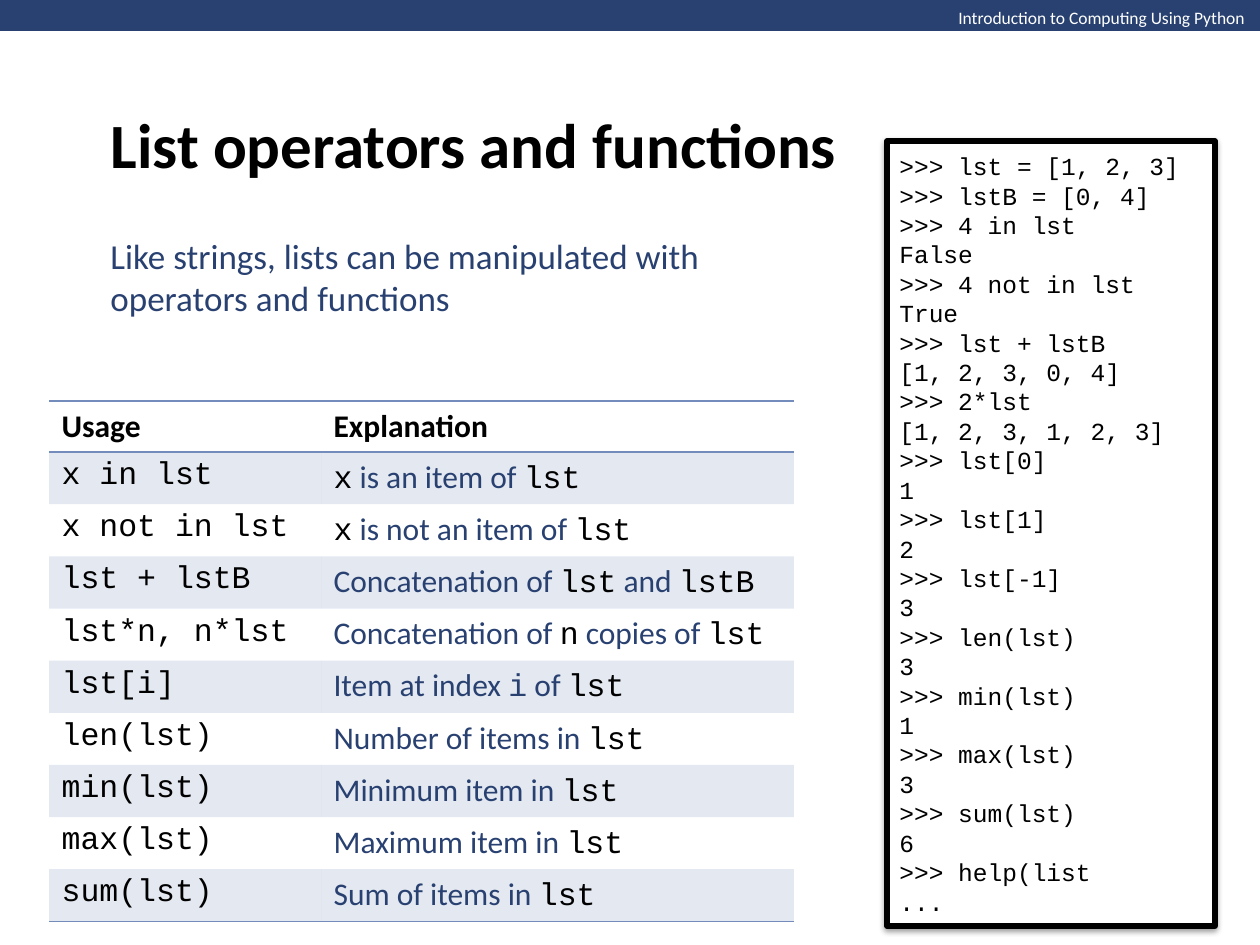
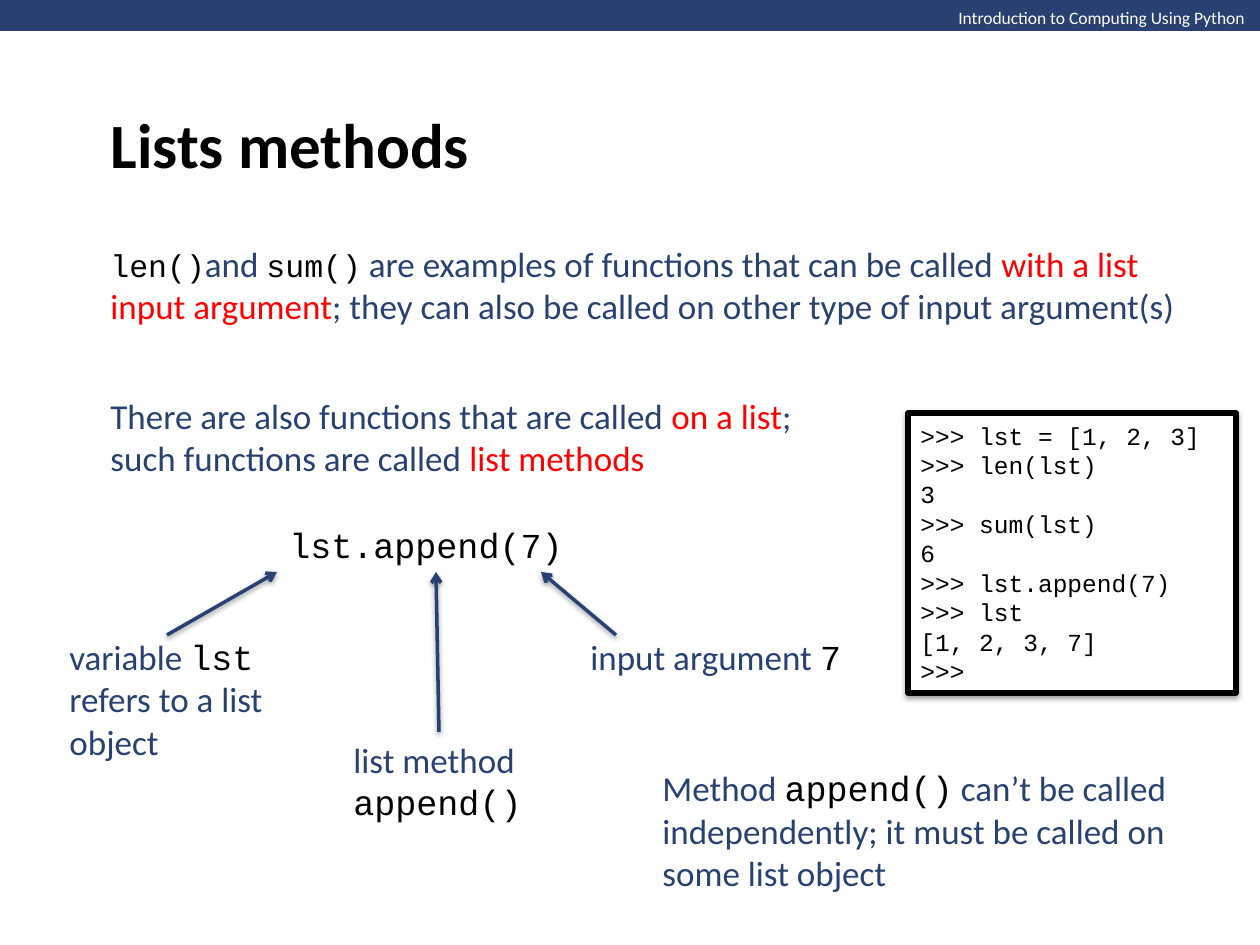
from dataclasses import dataclass

from lxml.etree import SubElement
from pptx import Presentation
from pptx.dml.color import RGBColor
from pptx.enum.shapes import MSO_CONNECTOR, MSO_SHAPE
from pptx.enum.text import MSO_ANCHOR, MSO_AUTO_SIZE, PP_ALIGN
from pptx.oxml.ns import qn
from pptx.util import Emu, Pt

PX_PER_INCH = 126
SLIDE_WIDTH, SLIDE_HEIGHT = 1260, 945
PLAIN_TABLE_STYLE = "{2D5ABB26-0587-4C30-8999-92F81FD0307C}"


@dataclass(frozen=True)
class Theme:
    navy: str = "294171"
    steel: str = "748CBC"
    red: str = "FF0000"
    black: str = "000000"
    white: str = "FFFFFF"
    text_font: str = "Calibri"
    code_font: str = "Courier New"
    title_size: int = 36
    body_size: int = 20
    table_size: int = 18
    code_size: int = 14
    label_size: int = 10
    frame_width: int = 3
    arrow_width: int = 2
    rule_width: int = 1
    stripe_opacity: int = 20
    shadow_opacity: int = 38
    shadow_blur: float = 3.1
    shadow_distance: float = 1.6


@dataclass(frozen=True)
class Run:
    """A piece of text; without a size it takes the size of its box."""
    text: str
    font: str
    color: str
    size: int = 0
    bold: bool = False


THEME = Theme()


def px(length):
    return Emu(round(length * 914400 / PX_PER_INCH))


def words(text, color=THEME.navy, size=0, bold=False):
    return Run(text, THEME.text_font, color, size, bold)


def code(text, color=THEME.black, size=0):
    return Run(text, THEME.code_font, color, size)


def red(text):
    return words(text, THEME.red)


class Deck:
    def __init__(self, theme):
        self.theme = theme
        self.presentation = Presentation()
        self.presentation.slide_width = px(SLIDE_WIDTH)
        self.presentation.slide_height = px(SLIDE_HEIGHT)
        self.slide = None

    # Shared parts: band, course label and title
    def new_slide(self, title):
        theme = self.theme
        layout = self.presentation.slide_layouts.get_by_name("Title Only")
        self.slide = self.presentation.slides.add_slide(layout)
        self.box(0, 0, SLIDE_WIDTH, 31, theme.navy)
        self.text(946, 0, 315, 34, theme.label_size,
                  [words("Introduction to Computing Using Python", theme.white)])
        heading = self.slide.shapes.title
        heading.left, heading.top, heading.width, heading.height = map(px, (98, 98, 1071, 90))
        self.fill_frame(heading.text_frame, theme.title_size,
                        [[words(title, theme.black, bold=True)]])

    # Text
    def fill_paragraph(self, paragraph, runs, size):
        paragraph.alignment = PP_ALIGN.LEFT
        for piece in runs:
            run = paragraph.add_run()
            run.text = piece.text
            run.font.name = piece.font
            run.font.size = Pt(piece.size or size)
            run.font.bold = piece.bold
            run.font.color.rgb = RGBColor.from_string(piece.color)

    def fill_frame(self, frame, size, paragraphs):
        frame.word_wrap = True
        frame.auto_size = MSO_AUTO_SIZE.NONE
        frame.vertical_anchor = MSO_ANCHOR.MIDDLE
        for index, runs in enumerate(paragraphs):
            paragraph = frame.add_paragraph() if index else frame.paragraphs[0]
            self.fill_paragraph(paragraph, runs, size)

    def text(self, left, top, width, height, size, *paragraphs):
        shape = self.slide.shapes.add_textbox(*map(px, (left, top, width, height)))
        self.fill_frame(shape.text_frame, size, paragraphs)
        return shape

    def body(self, left, top, width, height, *paragraphs):
        return self.text(left, top, width, height, self.theme.body_size, *paragraphs)

    # Shapes
    def box(self, left, top, width, height, color):
        shape = self.slide.shapes.add_shape(
            MSO_SHAPE.RECTANGLE, *map(px, (left, top, width, height)))
        shape.shadow.inherit = False
        shape.fill.solid()
        shape.fill.fore_color.rgb = RGBColor.from_string(color)
        shape.line.fill.background()
        return shape

    def draw_line(self, line, color, width):
        line.color.rgb = RGBColor.from_string(color)
        line.width = Pt(width)

    def cast_shadow(self, shape):
        theme = self.theme
        properties = shape._element.spPr
        effects = properties.find(qn("a:effectLst"))
        if effects is None:
            effects = SubElement(properties, qn("a:effectLst"))
        shadow = SubElement(effects, qn("a:outerShdw"), blurRad=str(Pt(theme.shadow_blur)),
                            dist=str(Pt(theme.shadow_distance)), dir="5400000",
                            rotWithShape="0")
        color = SubElement(shadow, qn("a:srgbClr"), val=theme.black)
        SubElement(color, qn("a:alpha"), val=str(theme.shadow_opacity * 1000))

    def session(self, left, top, width, height, lines):
        """A framed Python shell session."""
        shape = self.box(left, top, width, height, self.theme.white)
        self.draw_line(shape.line, self.theme.black, self.theme.frame_width)
        self.cast_shadow(shape)
        self.fill_frame(shape.text_frame, self.theme.code_size,
                        [[code(line)] for line in lines.splitlines()])

    def arrow(self, start, end, source=None):
        connector = self.slide.shapes.add_connector(
            MSO_CONNECTOR.STRAIGHT, *map(px, (*start, *end)))
        if source is not None:
            connector.begin_connect(source, 0)
        self.draw_line(connector.line, self.theme.navy, self.theme.arrow_width)
        line = connector._element.spPr.find(qn("a:ln"))
        SubElement(line, qn("a:tailEnd"), type="arrow")
        self.cast_shadow(connector)

    # Table
    def border(self, cell, side):
        line = SubElement(cell._tc.get_or_add_tcPr(), qn(f"a:{side}"),
                          w=str(Pt(self.theme.rule_width)))
        fill = SubElement(line, qn("a:solidFill"))
        SubElement(fill, qn("a:srgbClr"), val=self.theme.steel)

    def stripe(self, cell):
        cell.fill.solid()
        cell.fill.fore_color.rgb = RGBColor.from_string(self.theme.steel)
        color = cell._tc.tcPr.find(f"{qn('a:solidFill')}/{qn('a:srgbClr')}")
        SubElement(color, qn("a:alpha"), val=str(self.theme.stripe_opacity * 1000))

    def table(self, left, top, column_widths, row_height, rows):
        frame = self.slide.shapes.add_table(
            len(rows), len(column_widths), px(left), px(top),
            px(sum(column_widths)), px(row_height * len(rows)))
        table = frame.table
        table._tbl.tblPr.find(qn("a:tableStyleId")).text = PLAIN_TABLE_STYLE
        for column, width in zip(table.columns, column_widths):
            column.width = px(width)
        for row_index, row in enumerate(rows):
            table.rows[row_index].height = px(row_height)
            for column_index, runs in enumerate(row):
                cell = table.cell(row_index, column_index)
                if row_index == 0:
                    self.border(cell, "lnT")
                if row_index in (0, len(rows) - 1):
                    self.border(cell, "lnB")
                if row_index % 2:
                    self.stripe(cell)
                else:
                    cell.fill.background()
                self.fill_paragraph(cell.text_frame.paragraphs[0], runs,
                                    self.theme.table_size)


OPERATORS_SESSION = """\
>>> lst = [1, 2, 3]
>>> lstB = [0, 4]
>>> 4 in lst
False
>>> 4 not in lst
True
>>> lst + lstB
[1, 2, 3, 0, 4]
>>> 2*lst
[1, 2, 3, 1, 2, 3]
>>> lst[0]
1
>>> lst[1]
2
>>> lst[-1]
3
>>> len(lst)
3
>>> min(lst)
1
>>> max(lst)
3
>>> sum(lst)
6
>>> help(list
..."""

METHODS_SESSION = """\
>>> lst = [1, 2, 3]
>>> len(lst)
3
>>> sum(lst)
6
>>> lst.append(7)
>>> lst
[1, 2, 3, 7]
>>>"""

USAGES = [
    ("x in lst", [code("x"), words(" is an item of "), code("lst")]),
    ("x not in lst", [code("x"), words(" is not an item of "), code("lst")]),
    ("lst + lstB", [words("Concatenation of "), code("lst"), words(" and "), code("lstB")]),
    ("lst*n, n*lst", [words("Concatenation of "), code("n"), words(" copies of "), code("lst")]),
    ("lst[i]", [words("Item at index "), code("i", THEME.navy), words(" of "), code("lst")]),
    ("len(lst)", [words("Number of items in "), code("lst")]),
    ("min(lst)", [words("Minimum item in "), code("lst")]),
    ("max(lst)", [words("Maximum item in "), code("lst")]),
    ("sum(lst)", [words("Sum of items in "), code("lst")]),
]


def add_operators_slide(deck):
    deck.new_slide("List operators and functions")
    deck.body(98, 228, 668, 97, [
        words("Like strings, lists can be manipulated with operators and functions")])
    deck.session(887, 141, 328, 785, OPERATORS_SESSION)
    header = [[words(name, THEME.black, bold=True)] for name in ("Usage", "Explanation")]
    rows = [([code(usage)], explanation) for usage, explanation in USAGES]
    deck.table(49, 401, (272, 473), 51, [header, *rows])


def add_methods_slide(deck):
    deck.new_slide("Lists methods")
    # Functions and methods
    deck.body(98, 236, 1116, 97, [
        code("len()", size=THEME.table_size), words("and "),
        code("sum()", size=THEME.table_size),
        words(" are examples of functions that can be called "),
        red("with a list input argument"),
        words("; they can also be called on other type of input argument(s)")])
    deck.body(98, 388, 789, 97,
              [words("There are also functions that are called "), red("on a list"), words(";")],
              [words("such functions are called "), red("list methods")])
    # Parts of the call
    deck.body(277, 517, 301, 55, [code("lst.append(7)")])
    deck.body(57, 629, 220, 140, [
        words("variable "), code("lst "), words("refers to a list object")])
    deck.body(578, 629, 279, 55, [words("input argument "), code("7")])
    method = deck.body(341, 732, 196, 97, [words("list method")], [code("append()")])
    deck.arrow((167, 635), (277, 572))
    deck.arrow((439, 732), (436, 572), source=method)
    deck.arrow((616, 635), (541, 572))
    # Rule and example
    deck.body(650, 760, 564, 140, [
        words("Method "), code("append()"),
        words(" can’t be called independently; it must be called on some list object")])
    deck.session(908, 413, 328, 280, METHODS_SESSION)


def main():
    deck = Deck(THEME)
    add_operators_slide(deck)
    add_methods_slide(deck)
    deck.presentation.save("out.pptx")


if __name__ == "__main__":
    main()
